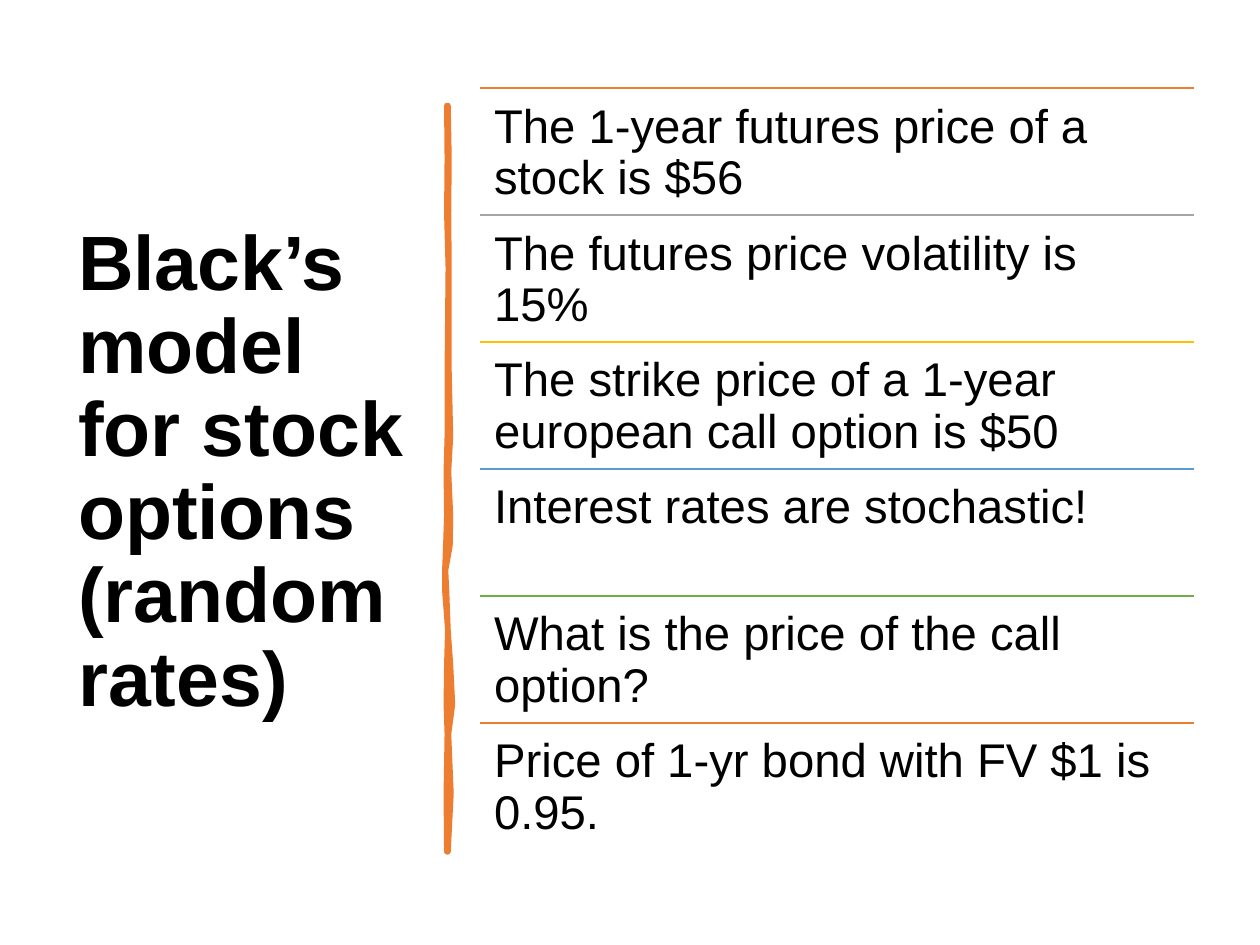
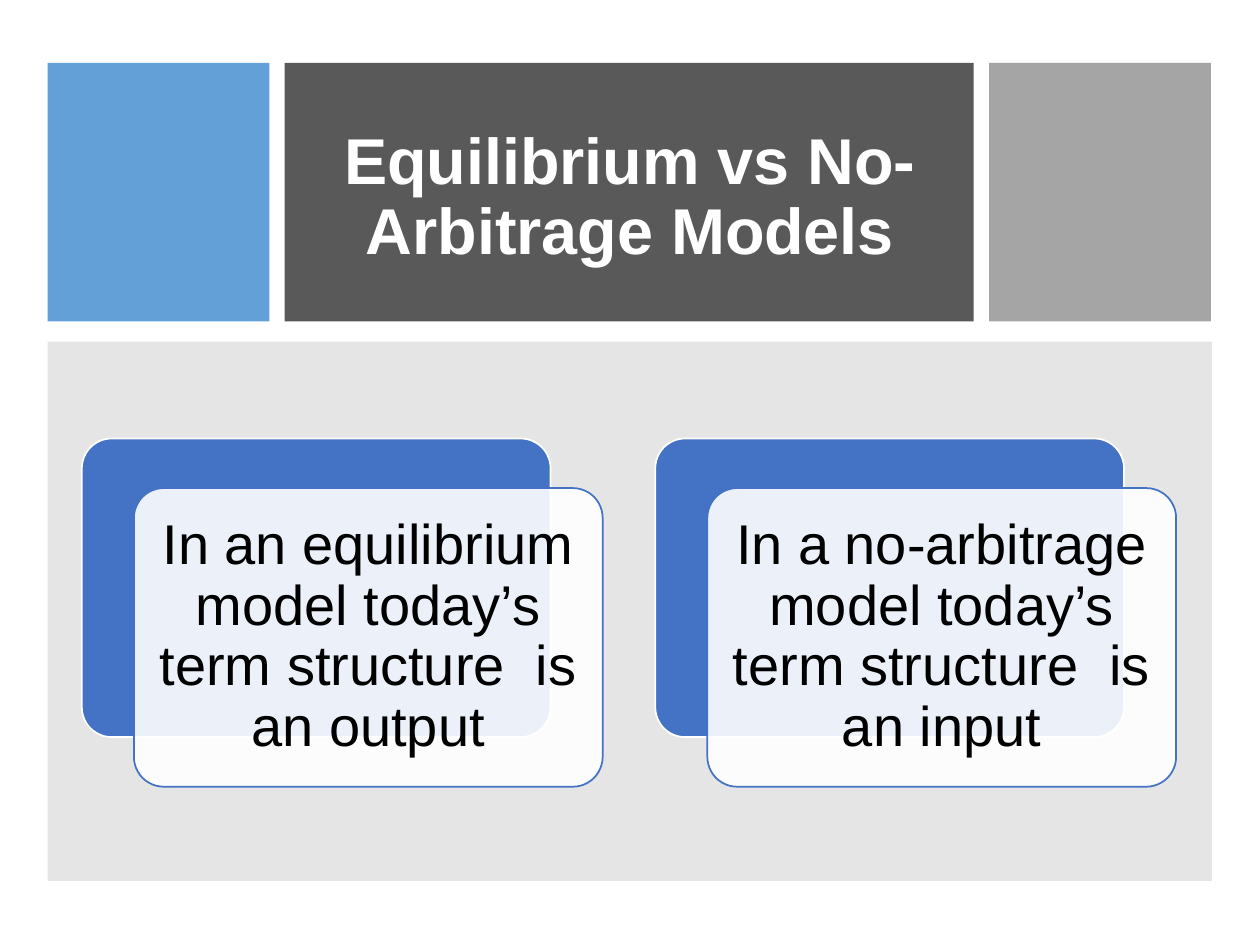
from dataclasses import dataclass

from lxml.etree import SubElement
from pptx import Presentation
from pptx.dml.color import RGBColor
from pptx.enum.shapes import MSO_CONNECTOR, MSO_SHAPE
from pptx.enum.text import MSO_ANCHOR as Anchor, MSO_AUTO_SIZE, PP_ALIGN as Align
from pptx.oxml.ns import qn
from pptx.util import Cm, Pt


@dataclass(frozen=True)
class Theme:
    font: str = "Arial"
    black: str = "000000"
    white: str = "FFFFFF"
    blue: str = "4472C4"
    sky: str = "5B9BD5"
    orange: str = "ED7D31"
    gray: str = "A5A5A5"
    gold: str = "FFC000"
    green: str = "70AD47"
    charcoal: str = "595959"
    panel: str = "808080"
    side_title: int = 44
    band_title: int = 37
    fact: int = 27
    card: int = 32
    spacing: float = 0.9


T = Theme()

# Content
BLACK_TITLE = "Black’s model for stock options\n(random rates)"
FACTS = [
    ("The 1-year futures price of a stock is $56", T.orange),
    ("The futures price volatility is 15%", T.gray),
    ("The strike price of a 1-year european call option is $50", T.gold),
    ("Interest rates are stochastic!", T.sky),
    ("What is the price of the call option?", T.green),
    ("Price of 1-yr bond with FV $1 is 0.95.", T.orange),
]
MODELS_TITLE = "Equilibrium vs No-Arbitrage Models"
MODELS = [
    "In an equilibrium model today’s term structure  is an output",
    "In a no-arbitrage model today’s term structure  is an input",
]

# Hand-drawn divider: height on the slide, left and right edge about its axis (cm)
BRUSH_X = 9.03
BRUSH = [
    (2.13, -0.02, 0), (3.2, -0.01, 0.02), (4.3, -0.02, 0.01),
    (5.4, 0.01, 0.02), (7.5, -0.01, 0.02), (8.8, -0.01, 0.05),
    (9.5, -0.03, 0.01), (10.4, -0.02, 0.05), (11, -0.04, 0.04),
    (11.5, -0.06, -0.05), (11.9, -0.06, -0.03), (12.7, 0, 0),
    (13.4, -0.02, 0.05), (14.2, -0.03, 0.09), (14.8, -0.01, 0.01),
    (16, -0.03, 0.06), (17.17, -0.02, 0),
]


def rgb(color):
    return RGBColor.from_string(color)


def paint(sp, fill, alpha=100, line=None, weight=1):
    """Give a shape its fill, opacity in percent and outline."""
    sp.shadow.inherit = False
    sp.fill.solid()
    sp.fill.fore_color.rgb = rgb(fill)
    if alpha < 100:
        clr = sp.element.spPr.find(qn("a:solidFill"))[0]
        SubElement(clr, qn("a:alpha"), val=str(alpha * 1000))
    if line:
        sp.line.color.rgb = rgb(line)
        sp.line.width = Pt(weight)
    else:
        sp.line.fill.background()


def add_box(s, shape, box, fill, **look):
    sp = s.shapes.add_shape(shape, *map(Cm, box))
    paint(sp, fill, **look)
    return sp


def write(sp, text, size, color=T.black, bold=False, align=Align.LEFT,
          anchor=Anchor.MIDDLE, inset=None):
    tf = sp.text_frame
    tf.word_wrap = True
    tf.auto_size = MSO_AUTO_SIZE.NONE
    tf.vertical_anchor = anchor
    if inset is not None:
        tf.margin_left = tf.margin_right = Cm(inset)
        tf.margin_top = tf.margin_bottom = Cm(inset)
    p = tf.paragraphs[0]
    p.text = text
    p.alignment = align
    p.line_spacing = T.spacing
    p.font.name = T.font
    p.font.size = Pt(size)
    p.font.bold = bold
    p.font.color.rgb = rgb(color)


def place_title(s, box, text, size, **look):
    title = s.shapes.title
    title.left, title.top, title.width, title.height = map(Cm, box)
    write(title, text, size, bold=True, **look)
    return title


def add_rule(s, left, top, width, color):
    line = s.shapes.add_connector(
        MSO_CONNECTOR.STRAIGHT, Cm(left), Cm(top), Cm(left + width), Cm(top))
    line.line.color.rgb = rgb(color)
    line.line.width = Pt(1)
    SubElement(line.element.spPr, qn("a:effectLst"))


def add_brush(s):
    right = [(BRUSH_X + r, y) for y, _, r in BRUSH]
    left = [(BRUSH_X + l, y) for y, l, _ in reversed(BRUSH)]
    start, *rest = [(Cm(x), Cm(y)) for x, y in right + left]
    fb = s.shapes.build_freeform(*start)
    fb.add_line_segments(rest, close=True)
    sp = fb.convert_to_shape()
    paint(sp, T.orange, line=T.orange, weight=3.25)
    SubElement(sp.element.spPr.find(qn("a:ln")), qn("a:round"))


def build_black_model(s):
    place_title(s, (1.32, 1.78, 7.11, 15.52), BLACK_TITLE, T.side_title)
    add_brush(s)
    # Ruled list of facts
    left, top, width, pitch = 9.68, 1.78, 14.38, 2.56
    for i, (fact, color) in enumerate(FACTS):
        y = top + i * pitch
        add_rule(s, left, y, width, color)
        tb = s.shapes.add_textbox(Cm(left), Cm(y), Cm(width), Cm(pitch))
        write(tb, fact, T.fact, anchor=Anchor.TOP, inset=0.28)


def build_models(s):
    # Title band between two blocks
    top, height = 1.27, 5.21
    bands = [(0.96, 4.47, T.sky, 95), (5.74, 13.89, T.charcoal, 100),
             (19.94, 4.47, T.gray, 100)]
    for left, width, color, alpha in bands:
        add_box(s, MSO_SHAPE.RECTANGLE, (left, top, width, height), color, alpha=alpha)
    title = place_title(s, (6.35, 2.03, 12.7, 3.96), MODELS_TITLE, T.band_title,
                        color=T.white, align=Align.CENTER)
    s.shapes.element.append(title.element)  # bring in front of the band

    # Panel with one layered card per model
    add_box(s, MSO_SHAPE.RECTANGLE, (0.96, 6.89, 23.47, 10.87), T.panel, alpha=20)
    left, top, width, height, pitch = 1.65, 8.84, 9.45, 6.02, 11.56
    shift_x, shift_y = 1.05, 1
    for i, text in enumerate(MODELS):
        x = left + i * pitch
        back = add_box(s, MSO_SHAPE.ROUNDED_RECTANGLE, (x, top, width, height),
                       T.blue, line=T.white)
        front = add_box(s, MSO_SHAPE.ROUNDED_RECTANGLE,
                        (x + shift_x, top + shift_y, width, height),
                        T.white, alpha=90, line=T.blue)
        back.adjustments[0] = front.adjustments[0] = 0.1
        write(front, text, T.card, align=Align.CENTER, inset=0.33)


def main():
    prs = Presentation()
    prs.slide_width, prs.slide_height = Cm(25.4), Cm(19.05)
    title_only = prs.slide_layouts[5]
    for build in (build_black_model, build_models):
        build(prs.slides.add_slide(title_only))
    prs.save("out.pptx")


if __name__ == "__main__":
    main()
